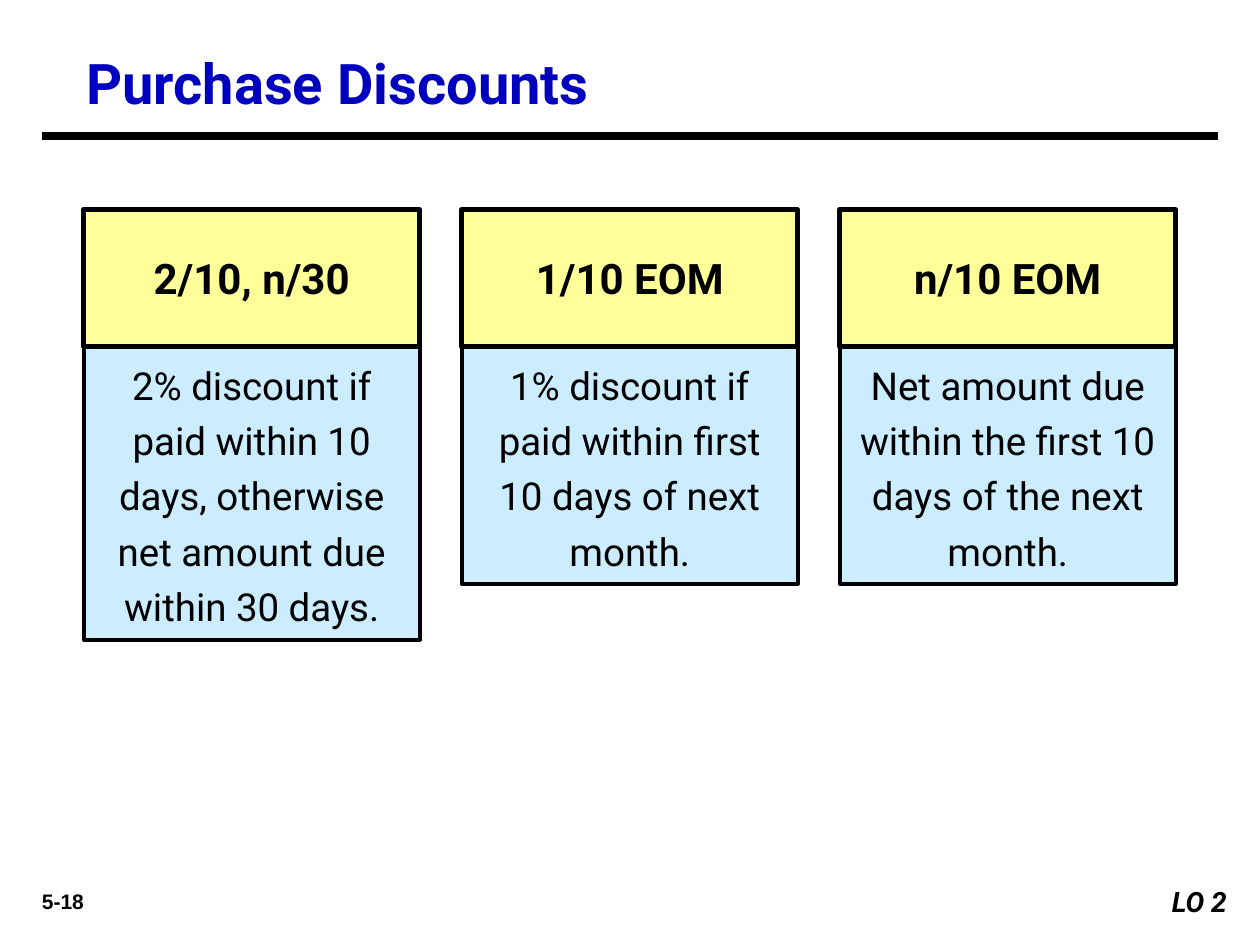
from dataclasses import dataclass

from lxml import etree
from pptx import Presentation
from pptx.dml.color import RGBColor
from pptx.enum.shapes import MSO_CONNECTOR, MSO_SHAPE
from pptx.enum.text import MSO_ANCHOR, MSO_AUTO_SIZE, PP_ALIGN
from pptx.oxml.ns import qn
from pptx.util import Cm, Pt

RECTANGLE = MSO_SHAPE.RECTANGLE
STRAIGHT = MSO_CONNECTOR.STRAIGHT
TOP, MIDDLE = MSO_ANCHOR.TOP, MSO_ANCHOR.MIDDLE
LEFT, CENTER, RIGHT = PP_ALIGN.LEFT, PP_ALIGN.CENTER, PP_ALIGN.RIGHT
FIXED = MSO_AUTO_SIZE.NONE

BLACK, WHITE, BLUE = "000000", "FFFFFF", "0000BF"
YELLOW, PALE_BLUE = "FFFF99", "CCECFF"

FIRST_LEFT, COLUMN_STEP, COLUMN_WIDTH = 1.69, 7.62, 6.77
TERM_TOP, TERM_HEIGHT = 4.23, 2.75

TITLE_FONT = {"name": "Roboto", "size": Pt(32), "bold": True}
TERM_FONT = {"name": "Roboto", "size": Pt(24), "bold": True}
MEANING_FONT = {"name": "Roboto", "size": Pt(22), "bold": False}
OBJECTIVE_FONT = {"name": "Roboto", "size": Pt(16), "bold": True, "italic": True}
NUMBER_FONT = {"name": "Arial", "size": Pt(12), "bold": True}


@dataclass
class CreditTerm:
    term: str
    meaning: str
    meaning_height: float


@dataclass
class Area:
    left: float
    top: float
    width: float
    height: float

    def lengths(self) -> list:
        return [Cm(n) for n in (self.left, self.top, self.width, self.height)]


TERMS = [
    CreditTerm(
        "2/10, n/30",
        "2% discount if paid within 10 days, otherwise net amount due within 30 days.",
        5.92,
    ),
    CreditTerm("1/10 EOM", "1% discount if paid within first 10 days of next month.", 4.8),
    CreditTerm("n/10 EOM", "Net amount due within the first 10 days of the next month.", 4.8),
]


def color(value: str) -> RGBColor:
    return RGBColor.from_string(value)


def write(box, text: str, font: dict, align, anchor=TOP, ink=BLACK, spacing=1.0) -> None:
    frame = box.text_frame
    frame.text = text
    frame.word_wrap = True
    frame.auto_size = FIXED
    frame.vertical_anchor = anchor
    paragraph = frame.paragraphs[0]
    paragraph.alignment = align
    paragraph.line_spacing = spacing
    span = paragraph.runs[0]
    for name, value in font.items():
        setattr(span.font, name, value)
    span.font.color.rgb = color(ink)


def add_panel(page, area: Area, fill: str, line_width: float = 0):
    panel = page.shapes.add_shape(RECTANGLE, *area.lengths())
    panel.shadow.inherit = False
    panel.fill.solid()
    panel.fill.fore_color.rgb = color(fill)
    if line_width:
        panel.line.color.rgb = color(BLACK)
        panel.line.width = Pt(line_width)
    else:
        panel.line.fill.background()
    return panel


def add_term(page, column: int, item: CreditTerm) -> None:
    left = FIRST_LEFT + column * COLUMN_STEP
    meaning_area = Area(left, TERM_TOP + TERM_HEIGHT, COLUMN_WIDTH, item.meaning_height)
    meaning = add_panel(page, meaning_area, PALE_BLUE, 2.25)
    write(meaning, item.meaning, MEANING_FONT, CENTER, spacing=1.2)
    term = add_panel(page, Area(left, TERM_TOP, COLUMN_WIDTH, TERM_HEIGHT), YELLOW, 3)
    write(term, item.term, TERM_FONT, CENTER, MIDDLE)


def add_title(page) -> None:
    title = page.shapes.title
    title.left, title.top, title.width, title.height = Area(1.48, 0.85, 21.17, 1.55).lengths()
    write(title, "Purchase Discounts", TITLE_FONT, LEFT, ink=BLUE)
    rule = page.shapes.add_connector(STRAIGHT, Cm(0.85), Cm(2.75), Cm(24.55), Cm(2.75))
    rule.line.color.rgb = color(BLACK)
    rule.line.width = Pt(4.5)
    etree.SubElement(rule._element.spPr, qn("a:effectLst"))


def add_footer(page) -> None:
    number = page.shapes.add_textbox(*Area(0.21, 17.78, 2.12, 0.76).lengths())
    write(number, "5-18", NUMBER_FONT, CENTER)
    objective = add_panel(page, Area(22.86, 17.7, 2.12, 0.94), WHITE)
    write(objective, "LO 2", OBJECTIVE_FONT, RIGHT)


def main() -> None:
    deck = Presentation()
    deck.slide_width, deck.slide_height = Cm(25.4), Cm(19.05)
    page = deck.slides.add_slide(deck.slide_layouts[5])
    add_title(page)
    for column, item in enumerate(TERMS):
        add_term(page, column, item)
    add_footer(page)
    deck.save("out.pptx")


if __name__ == "__main__":
    main()
